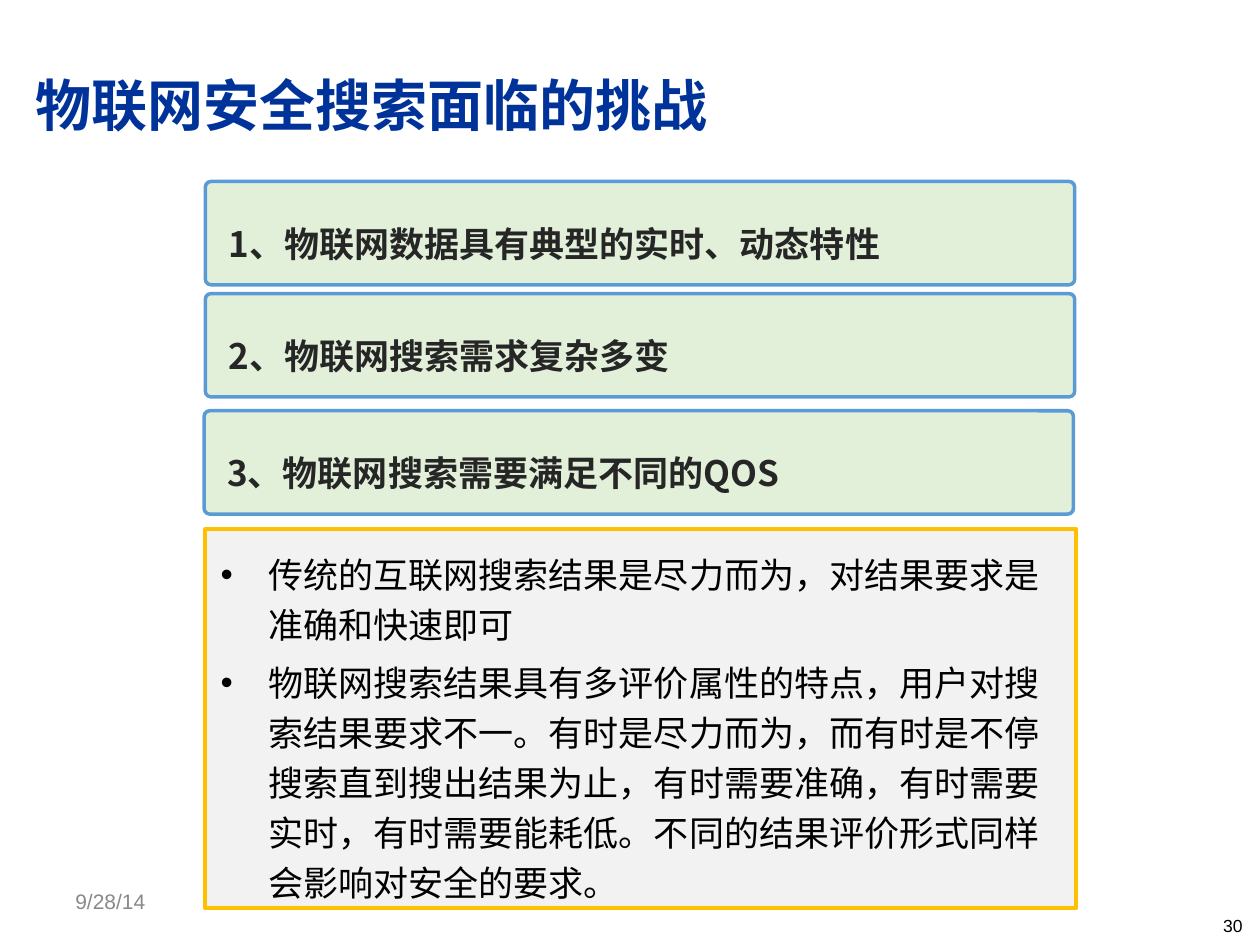
import pptx
import pptx.dml.color
import pptx.enum.shapes
import pptx.enum.text
import pptx.oxml.ns
import pptx.util
from lxml import etree

Inches = pptx.util.Inches
Pt = pptx.util.Pt
RGBColor = pptx.dml.color.RGBColor
Shape = pptx.enum.shapes.MSO_SHAPE
Align = pptx.enum.text.PP_ALIGN
Anchor = pptx.enum.text.MSO_ANCHOR
qn = pptx.oxml.ns.qn

TITLE = "物联网安全搜索面临的挑战"
CHALLENGES = [
    (1.63, 1.44, "1、物联网数据具有典型的实时、动态特性"),
    (1.63, 2.33, "2、物联网搜索需求复杂多变"),
    (1.62, 3.26, "3、物联网搜索需要满足不同的QOS"),
]
DETAILS = [
    "传统的互联网搜索结果是尽力而为，对结果要求是准确和快速即可",
    "物联网搜索结果具有多评价属性的特点，用户对搜索结果要求不一。"
    "有时是尽力而为，而有时是不停搜索直到搜出结果为止，有时需要准确，"
    "有时需要实时，有时需要能耗低。不同的结果评价形式同样会影响对安全的要求。",
]
DATE = "9/28/14"
PAGE_NUMBER = "30"

CJK_FONT = "Noto Sans CJK SC"
LATIN_FONT = "Arial"
NAVY = RGBColor(0x00, 0x33, 0x99)
BLUE = RGBColor(0x5B, 0x9B, 0xD5)
GREEN = RGBColor(0xE2, 0xF0, 0xD9)
DARK = RGBColor(0x26, 0x26, 0x26)
PALE = RGBColor(0xF2, 0xF2, 0xF2)
GOLD = RGBColor(0xFF, 0xC0, 0x00)
BLACK = RGBColor(0, 0, 0)
GREY = RGBColor(0x89, 0x89, 0x89)


def style_paragraph(paragraph, size, color, bold=False, font_name=CJK_FONT):
    paragraph.alignment = Align.LEFT
    for run in paragraph.runs:
        run.font.size = Pt(size)
        run.font.bold = bold
        run.font.color.rgb = color
        run.font.name = font_name
        east_asian = etree.Element(qn("a:ea"), typeface=font_name)
        run.font._element.find(qn("a:latin")).addnext(east_asian)


def place(shape, left, top, width, height):
    shape.left, shape.top = Inches(left), Inches(top)
    shape.width, shape.height = Inches(width), Inches(height)


def add_panel(slide, kind, box, fill, line, line_width):
    panel = slide.shapes.add_shape(kind, *map(Inches, box))
    panel.shadow.inherit = False
    panel.fill.solid()
    panel.fill.fore_color.rgb = fill
    panel.line.color.rgb = line
    panel.line.width = Pt(line_width)
    return panel


def add_label(slide, box, text, size, color, anchor):
    label = slide.shapes.add_textbox(*map(Inches, box))
    frame = label.text_frame
    frame.word_wrap = True
    frame.vertical_anchor = anchor
    frame.text = text
    style_paragraph(frame.paragraphs[0], size, color, font_name=LATIN_FONT)


def add_challenge(slide, left, top, text):
    bar = add_panel(slide, Shape.ROUNDED_RECTANGLE, (left, top, 6.9, 0.82), GREEN, BLUE, 2)
    bar.adjustments[0] = 0.055
    frame = bar.text_frame
    frame.margin_left = Inches(0.17)
    frame.vertical_anchor = Anchor.MIDDLE
    frame.text = text
    frame.paragraphs[0].line_spacing = 1.5
    style_paragraph(frame.paragraphs[0], 20, DARK, bold=True)


def fill_details(body):
    place(body, 1.65, 4.24, 6.82, 2.97)
    frame = body.text_frame
    frame.word_wrap = True
    frame.auto_size = pptx.enum.text.MSO_AUTO_SIZE.NONE
    frame.vertical_anchor = Anchor.TOP
    frame.margin_top = Inches(0.09)
    frame.text = "\n".join(DETAILS)
    for index, paragraph in enumerate(frame.paragraphs):
        paragraph.line_spacing = Pt(28.6)
        paragraph.space_before = Pt(4.5 if index else 0)
        properties = paragraph._p.get_or_add_pPr()
        properties.set("marL", str(Inches(0.38)))
        properties.set("indent", str(-Inches(0.38)))
        etree.SubElement(properties, qn("a:buFont"), typeface=LATIN_FONT)
        etree.SubElement(properties, qn("a:buChar"), char="•")
        style_paragraph(paragraph, 20, BLACK)


def main():
    presentation = pptx.Presentation()
    presentation.slide_width, presentation.slide_height = Inches(10), Inches(7.5)
    slide = presentation.slides.add_slide(presentation.slide_layouts[1])

    title = slide.shapes.title
    place(title, 0.18, 0.2, 9, 1.25)
    title.text_frame.vertical_anchor = Anchor.MIDDLE
    title.text_frame.text = TITLE
    style_paragraph(title.text_frame.paragraphs[0], 32, NAVY, bold=True)

    add_label(slide, (9.61, 7.21, 0.39, 0.43), PAGE_NUMBER, 10, BLACK, Anchor.TOP)
    add_label(slide, (0.5, 6.95, 2.33, 0.4), DATE, 12, GREY, Anchor.MIDDLE)
    for challenge in CHALLENGES:
        add_challenge(slide, *challenge)

    add_panel(slide, Shape.RECTANGLE, (1.63, 4.2, 6.91, 3.01), PALE, GOLD, 2.25)
    body = slide.placeholders[1]
    fill_details(body)
    slide.shapes._spTree.append(body._element)

    presentation.save("out.pptx")


if __name__ == "__main__":
    main()
